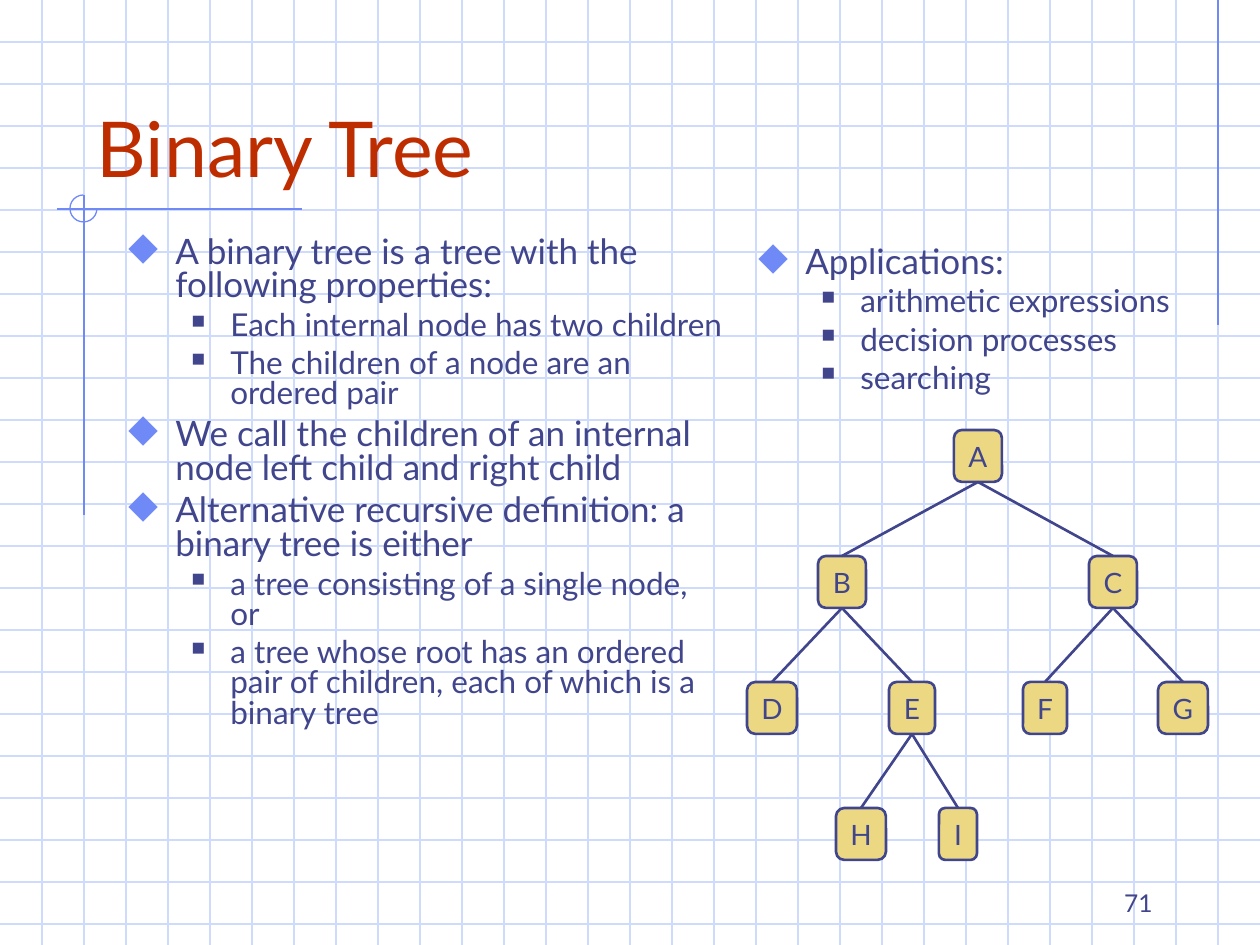
from typing import NamedTuple

from lxml import etree
from pptx import Presentation
from pptx.dml.color import RGBColor
from pptx.enum.shapes import MSO_CONNECTOR, MSO_SHAPE
from pptx.enum.text import MSO_ANCHOR, PP_ALIGN
from pptx.oxml.ns import qn
from pptx.util import Pt

STRAIGHT = MSO_CONNECTOR.STRAIGHT
ROUNDED, ARC = MSO_SHAPE.ROUNDED_RECTANGLE, MSO_SHAPE.ARC
TOP, MIDDLE, BOTTOM = MSO_ANCHOR.TOP, MSO_ANCHOR.MIDDLE, MSO_ANCHOR.BOTTOM
LEFT, CENTER, RIGHT = PP_ALIGN.LEFT, PP_ALIGN.CENTER, PP_ALIGN.RIGHT
TOP_SIDE, BOTTOM_SIDE = 0, 2

WIDTH, HEIGHT = 1260, 945
GRID_STEP = 42
LEVEL_TOP, LEVEL_STEP, NODE_HEIGHT = 430, 126, 52
FONT, BULLET_FONT = "Lato", "OpenSymbol"
COLORS = {"grid": "CFDBFD", "accent": "6F89F7", "title": "BE2D00",
          "ink": "40458C", "node": "ECD882"}


class Box(NamedTuple):
    left: int
    top: int
    width: int
    height: int


class Rule(NamedTuple):
    x1: int
    y1: int
    x2: int
    y2: int
    color: str


class Node(NamedTuple):
    center: int
    width: int
    depth: int
    parent: str


class BulletStyle(NamedTuple):
    margin: int
    hang: int
    before: float
    size: int
    char: str
    color: str
    percent: int


class Item(NamedTuple):
    level: int
    text: str


BULLETS = [BulletStyle(47, 47, 5, 20, "◆", "accent", 110),
           BulletStyle(102, 39, 4.5, 18, "■", "ink", 60)]

PROPERTIES = [
    Item(0, "A binary tree is a tree with the following properties:"),
    Item(1, "Each internal node has two children"),
    Item(1, "The children of a node are an ordered pair"),
    Item(0, "We call the children of an internal node left child and right child"),
    Item(0, "Alternative recursive definition: a binary tree is either"),
    Item(1, "a tree consisting of a single node, or"),
    Item(1, "a tree whose root has an ordered pair of children, "
            "each of which is a binary tree"),
]
APPLICATIONS = [
    Item(0, "Applications:"),
    Item(1, "arithmetic expressions"),
    Item(1, "decision processes"),
    Item(1, "searching"),
]
TREE = {
    "A": Node(978, 48, 0, ""),
    "B": Node(842, 48, 1, "A"),
    "C": Node(1113, 48, 1, "A"),
    "D": Node(772, 50, 2, "B"),
    "E": Node(912, 46, 2, "B"),
    "F": Node(1045, 44, 2, "C"),
    "G": Node(1183, 50, 2, "C"),
    "H": Node(861, 50, 3, "E"),
    "I": Node(958, 38, 3, "E"),
}


def px(length: int) -> int:
    return round(length * 914400 / 126)


def rgb(color: str) -> RGBColor:
    return RGBColor.from_string(COLORS[color])


def set_all(target, values: dict) -> None:
    for name, value in values.items():
        setattr(target, name, value)


def write(paragraph, text: str, size: int, color: str, align) -> None:
    paragraph.alignment = align
    run = paragraph.add_run()
    run.text = text
    set_all(run.font, {"name": FONT, "size": Pt(size), "bold": False})
    run.font.color.rgb = rgb(color)


def style_line(line, color: str, width: float) -> None:
    line.color.rgb = rgb(color)
    line.width = Pt(width)


def add_line(shapes, rule: Rule, width: float):
    connector = shapes.add_connector(
        STRAIGHT, *map(px, (rule.x1, rule.y1, rule.x2, rule.y2)))
    style_line(connector.line, rule.color, width)
    etree.SubElement(connector._element.spPr, qn("a:effectLst"))
    return connector


def add_backdrop(shapes) -> None:
    rows = [Rule(0, y, WIDTH, y, "grid") for y in range(GRID_STEP, HEIGHT, GRID_STEP)]
    columns = [Rule(x, 0, x, HEIGHT, "grid") for x in range(GRID_STEP, WIDTH, GRID_STEP)]
    accents = [Rule(1218, 0, 1218, 325, "accent"),
               Rule(302, 209, 57, 209, "accent"),
               Rule(84, 195, 84, 515, "accent")]
    for rule in rows + columns + accents:
        add_line(shapes, rule, 0.75)
    ring = shapes.add_shape(ARC, *map(px, Box(70, 195, 27, 27)))
    ring.adjustments[0], ring.adjustments[1] = 0, 162
    ring.shadow.inherit = False
    ring.fill.background()
    style_line(ring.line, "accent", 0.75)


def place_title(shapes) -> None:
    title = shapes.title
    set_all(title, dict(zip(Box._fields, map(px, Box(84, 42, 1071, 157)))))
    set_all(title.text_frame, {"vertical_anchor": BOTTOM, "word_wrap": True})
    write(title.text_frame.paragraphs[0], "Binary Tree", 44, "title", LEFT)
    shapes._spTree.append(title._element)


def add_text(shapes, box: Box, anchor):
    frame = shapes.add_textbox(*map(px, box)).text_frame
    set_all(frame, {"word_wrap": True, "vertical_anchor": anchor})
    return frame


def add_bullet(paragraph, style: BulletStyle) -> None:
    properties = paragraph._p.get_or_add_pPr()
    properties.set("marL", str(px(style.margin)))
    properties.set("indent", str(-px(style.hang)))
    color = etree.SubElement(properties, qn("a:buClr"))
    etree.SubElement(color, qn("a:srgbClr"), val=COLORS[style.color])
    etree.SubElement(properties, qn("a:buSzPct"), val=str(style.percent * 1000))
    etree.SubElement(properties, qn("a:buFont"), typeface=BULLET_FONT)
    etree.SubElement(properties, qn("a:buChar"), char=style.char)


def add_outline(shapes, box: Box, items: list[Item]) -> None:
    frame = add_text(shapes, box, TOP)
    for index, item in enumerate(items):
        paragraph = frame.add_paragraph() if index else frame.paragraphs[0]
        style = BULLETS[item.level]
        set_all(paragraph, {"level": item.level, "line_spacing": 0.8,
                            "space_before": Pt(style.before if index else 0)})
        add_bullet(paragraph, style)
        write(paragraph, item.text, style.size, "ink", LEFT)


def add_node(shapes, letter: str, node: Node):
    box = Box(node.center - node.width // 2, LEVEL_TOP + node.depth * LEVEL_STEP,
              node.width, NODE_HEIGHT)
    shape = shapes.add_shape(ROUNDED, *map(px, box))
    shape.shadow.inherit = False
    shape.fill.solid()
    shape.fill.fore_color.rgb = rgb("node")
    style_line(shape.line, "ink", 1.5)
    set_all(shape.text_frame, {"word_wrap": False, "vertical_anchor": MIDDLE})
    write(shape.text_frame.paragraphs[0], letter, 16, "ink", CENTER)
    return shape


def add_tree(shapes) -> None:
    drawn = {letter: add_node(shapes, letter, node) for letter, node in TREE.items()}
    for letter, node in TREE.items():
        if node.parent:
            edge = add_line(shapes, Rule(0, 0, 0, 0, "ink"), 1.5)
            edge.begin_connect(drawn[node.parent], BOTTOM_SIDE)
            edge.end_connect(drawn[letter], TOP_SIDE)


def main() -> None:
    deck = Presentation()
    set_all(deck, {"slide_width": px(WIDTH), "slide_height": px(HEIGHT)})
    shapes = deck.slides.add_slide(deck.slide_layouts[5]).shapes
    add_backdrop(shapes)
    place_title(shapes)
    add_outline(shapes, Box(116, 231, 620, 598), PROPERTIES)
    add_outline(shapes, Box(746, 241, 451, 210), APPLICATIONS)
    add_tree(shapes)
    page = add_text(shapes, Box(903, 861, 262, 63), BOTTOM)
    write(page.paragraphs[0], "71", 14, "ink", RIGHT)
    deck.save("out.pptx")


if __name__ == "__main__":
    main()
